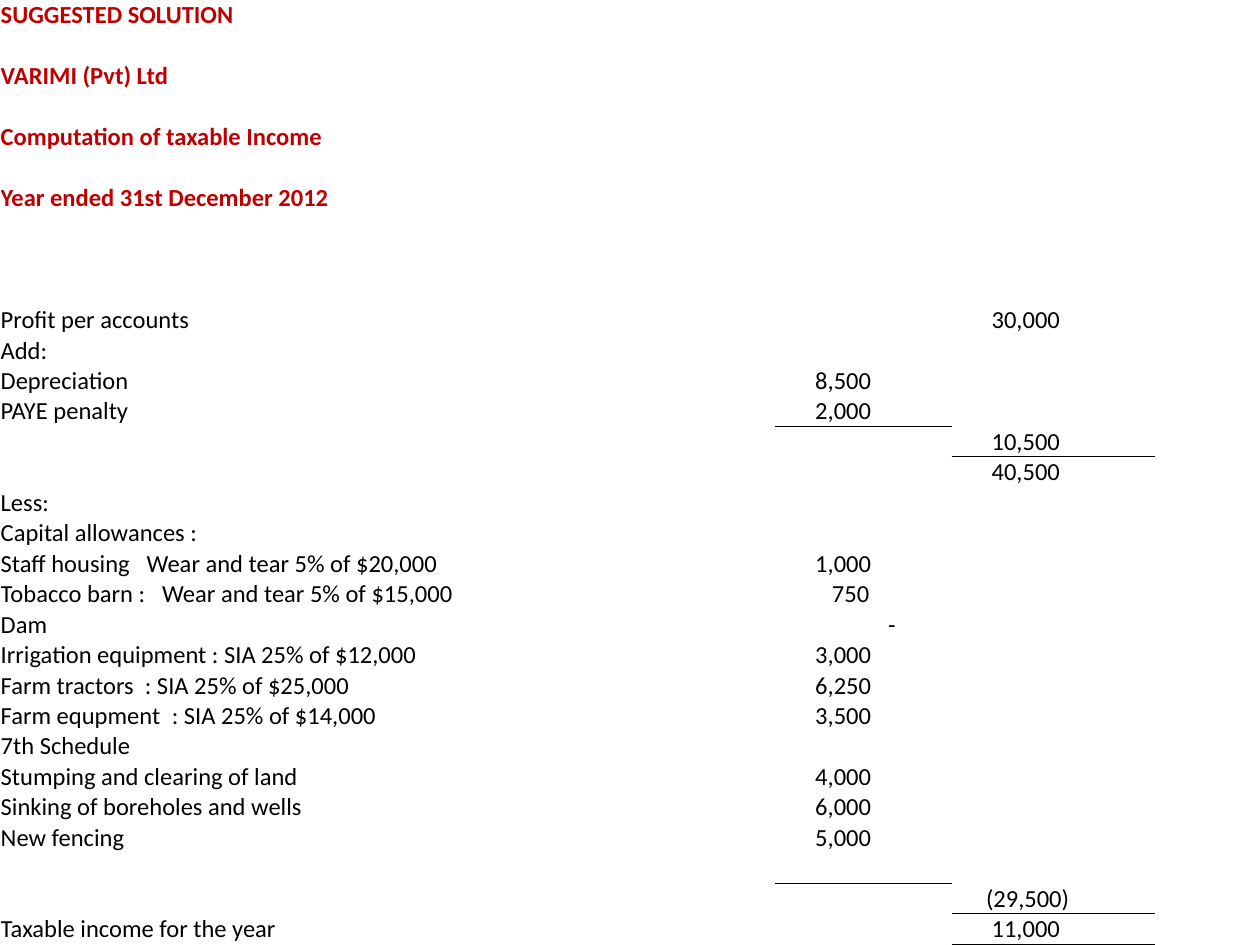
"""Build the taxable income computation slide as one ruled table."""
import lxml.etree
import pptx
import pptx.dml.color
import pptx.oxml
import pptx.oxml.ns
import pptx.util

Pt = pptx.util.Pt
qn = pptx.oxml.ns.qn
RED = pptx.dml.color.RGBColor(0xC0, 0x00, 0x00)
BLACK = pptx.dml.color.RGBColor(0x00, 0x00, 0x00)
FONT_SIZE = 14
ROW_HEIGHT = 17.41
COLUMN_WIDTHS = [80.64] * 3 + [100.8] * 3 + [115.2]
INNER, OUTER = 5, 6
AMOUNT_INDENT = 22.4
SPECIAL_INDENTS = {"750": 32, "-": 64, "(29,500)": 19.2}
TAB_STOPS = {"Staff housing": 83.4, "Tobacco barn :": 92.2,
             "Farm tractors": 82.4, "Farm equpment": 97.8}
BLANK = ("", 1, "", "")
HEADINGS = [("SUGGESTED SOLUTION", 3), ("VARIMI (Pvt) Ltd", 2),
            ("Computation of taxable Income", 4), ("Year ended 31st December 2012", 4)]
ENTRIES = [
    ("Profit per accounts", 2, "", "30,000"),
    ("Add:", 1, "", ""),
    ("Depreciation", 2, "8,500", ""),
    ("PAYE penalty", 2, "2,000", ""),
    ("", 1, "", "10,500"),
    ("", 1, "", "40,500"),
    ("Less:", 1, "", ""),
    ("Capital allowances :", 2, "", ""),
    ("Staff housing\tWear and tear 5% of $20,000", 5, "1,000", ""),
    ("Tobacco barn :\tWear and tear 5% of $15,000", 5, "750", ""),
    ("Dam", 1, "-", ""),
    ("Irrigation equipment : SIA 25% of $12,000", 4, "3,000", ""),
    ("Farm tractors\t: SIA 25% of $25,000", 4, "6,250", ""),
    ("Farm equpment\t: SIA 25% of $14,000", 4, "3,500", ""),
    ("7th Schedule", 2, "", ""),
    ("Stumping and clearing of land", 3, "4,000", ""),
    ("Sinking of boreholes and wells", 3, "6,000", ""),
    ("New fencing", 2, "5,000", ""),
    BLANK,
    ("", 1, "", "(29,500)"),
    ("Taxable income for the year", 3, "", "11,000"),
]
RULES_BELOW = [(13, INNER), (14, OUTER), (28, INNER), (29, OUTER), (30, OUTER)]


def add_statement_table(slide, row_count):
    """Add an unbanded table with fixed row heights and empty cells."""
    shape = slide.shapes.add_table(row_count, len(COLUMN_WIDTHS), Pt(0), Pt(0),
                                   Pt(sum(COLUMN_WIDTHS)), Pt(ROW_HEIGHT * row_count))
    table = shape.table
    table.first_row = False
    table.horz_banding = False
    for column, width in zip(table.columns, COLUMN_WIDTHS):
        column.width = Pt(width)
    for row in table.rows:
        row.height = Pt(ROW_HEIGHT)
    for cell in table.iter_cells():
        format_cell(cell)
    return table


def format_cell(cell):
    """Clear the fill, tighten the margins and set the height of an empty line."""
    cell.fill.background()
    cell.vertical_anchor = pptx.enum.text.MSO_ANCHOR.BOTTOM
    cell.margin_left = cell.margin_right = Pt(0.4)
    cell.margin_top = Pt(0.3)
    cell.margin_bottom = Pt(0)
    ending = lxml.etree.SubElement(cell.text_frame.paragraphs[0]._p, qn("a:endParaRPr"))
    ending.set("sz", str(FONT_SIZE * 100))


def write_text(cell, text, color=BLACK, bold=False):
    """Write one line into a cell and format its run."""
    paragraph = cell.text_frame.paragraphs[0]
    paragraph.text = text
    for run in paragraph.runs:
        run.font.name = "Calibri"
        run.font.size = Pt(FONT_SIZE)
        run.font.bold = bold
        run.font.color.rgb = color


def write_label(table, row, text, span, color=BLACK, bold=False):
    """Write a label across the given number of columns."""
    cell = table.cell(row, 0)
    if span > 1:
        cell.merge(table.cell(row, span - 1))
    name, tab, _ = text.partition("\t")
    if tab:
        add_tab_stop(cell.text_frame.paragraphs[0], TAB_STOPS[name])
    write_text(cell, text, color, bold)


def add_tab_stop(paragraph, position):
    """Add one left tab stop to a paragraph."""
    stops = lxml.etree.SubElement(paragraph._p.get_or_add_pPr(), qn("a:tabLst"))
    lxml.etree.SubElement(stops, qn("a:tab"), pos=str(int(Pt(position))), algn="l")


def write_amount(table, row, column, amount):
    """Write an indented amount."""
    cell = table.cell(row, column)
    cell.margin_left = Pt(SPECIAL_INDENTS.get(amount, AMOUNT_INDENT))
    write_text(cell, amount)


def add_border(cell, side):
    """Add a thin black border to one side of a cell."""
    line = pptx.oxml.parse_xml(
        f'<a:{side} xmlns:a="http://schemas.openxmlformats.org/drawingml/2006/main" '
        f'w="{int(Pt(0.5))}"><a:solidFill><a:srgbClr val="{BLACK}"/></a:solidFill></a:{side}>')
    cell._tc.get_or_add_tcPr().insert(0, line)


def rule_below(table, row, column):
    """Draw the rule between a cell and the one beneath it."""
    add_border(table.cell(row, column), "lnB")
    if row + 1 < len(table.rows):
        add_border(table.cell(row + 1, column), "lnT")


def main():
    """Build and save the slide."""
    presentation = pptx.Presentation()
    presentation.slide_width = Pt(720)
    presentation.slide_height = Pt(540)
    slide = presentation.slides.add_slide(presentation.slide_layouts[6])
    first_entry = 2 * len(HEADINGS) + 2
    table = add_statement_table(slide, first_entry + len(ENTRIES))
    for index, (heading, span) in enumerate(HEADINGS):
        write_label(table, 2 * index, heading, span, RED, True)
    for row, (label, span, inner, outer) in enumerate(ENTRIES, first_entry):
        if label:
            write_label(table, row, label, span)
        for column, amount in ((INNER, inner), (OUTER, outer)):
            if amount:
                write_amount(table, row, column, amount)
    for row, column in reversed(RULES_BELOW):
        rule_below(table, row, column)
    presentation.save("out.pptx")


if __name__ == "__main__":
    main()
